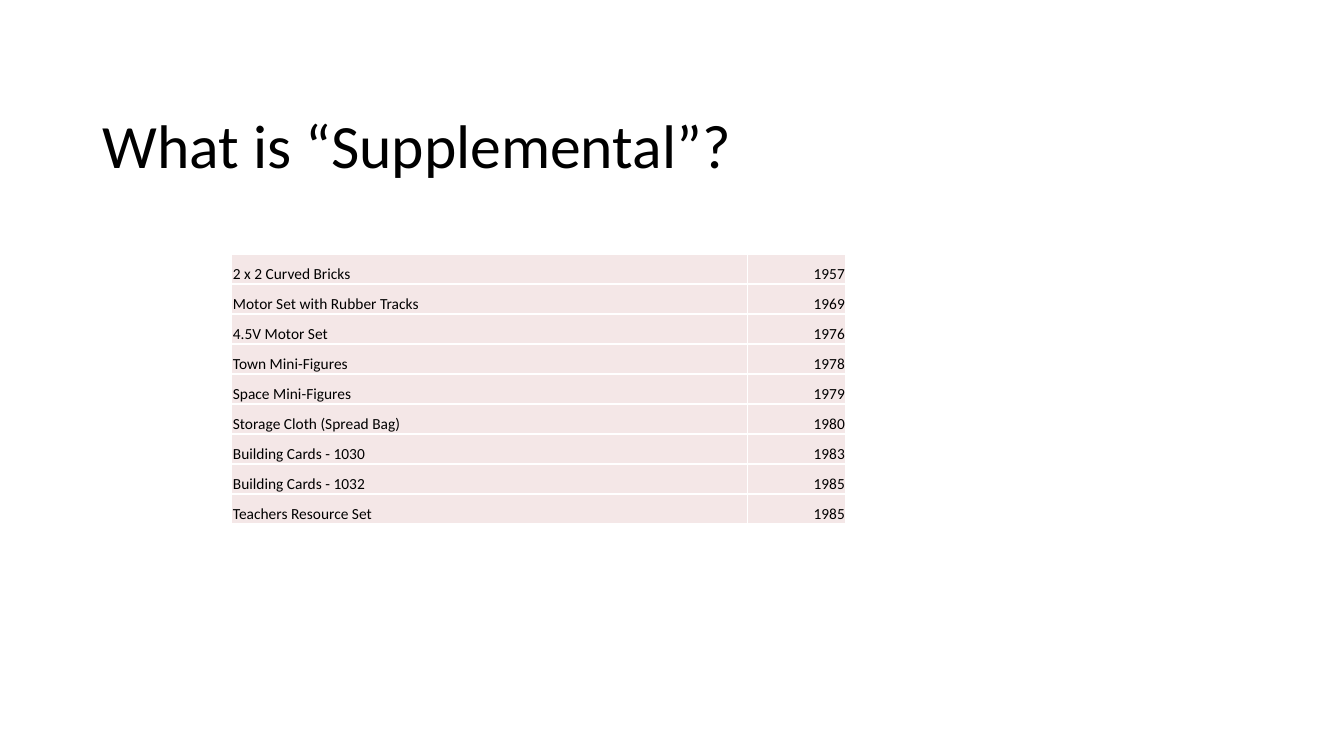
from lxml import etree
from pptx import Presentation
from pptx import util as u
from pptx.dml.color import RGBColor
from pptx.enum import text
from pptx.oxml import ns

BLACK = RGBColor(0x00, 0x00, 0x00)
WHITE = RGBColor(0xFF, 0xFF, 0xFF)
BLUSH = RGBColor(0xF4, 0xE7, 0xE7)

SUPPLEMENTS = [
    ("2 x 2 Curved Bricks", "1957"),
    ("Motor Set with Rubber Tracks", "1969"),
    ("4.5V Motor Set", "1976"),
    ("Town Mini-Figures", "1978"),
    ("Space Mini-Figures", "1979"),
    ("Storage Cloth (Spread Bag)", "1980"),
    ("Building Cards - 1030", "1983"),
    ("Building Cards - 1032", "1985"),
    ("Teachers Resource Set", "1985"),
]


class SlideBuilder:
    """Draws titles and tables on one slide in a shared style."""

    font_name = "Calibri"
    font_color = BLACK

    def __init__(self, slide):
        self.slide = slide

    def style(self, paragraph, size, align=text.PP_ALIGN.LEFT):
        paragraph.alignment = align
        paragraph.font.name = self.font_name
        paragraph.font.size = u.Pt(size)
        paragraph.font.color.rgb = self.font_color

    def title(self, wording, left, top, width, height):
        box = self.slide.shapes.add_textbox(
            u.Inches(left), u.Inches(top), u.Inches(width), u.Inches(height))
        frame = box.text_frame
        frame.word_wrap = True
        frame.vertical_anchor = text.MSO_ANCHOR.BOTTOM
        heading = frame.paragraphs[0]
        heading.text = wording
        heading.line_spacing = 0.9
        self.style(heading, 44)

    def border(self, cell, color, width):
        properties = cell._tc.get_or_add_tcPr()
        for side in ("a:lnL", "a:lnR", "a:lnT", "a:lnB"):
            line = etree.SubElement(properties, ns.qn(side), w=str(u.Pt(width)))
            fill = etree.SubElement(line, ns.qn("a:solidFill"))
            etree.SubElement(fill, ns.qn("a:srgbClr"), val=str(color))

    def cell(self, cell, wording, align):
        cell.margin_left = cell.margin_right = cell.margin_top = u.Inches(0.01)
        cell.margin_bottom = 0
        cell.vertical_anchor = text.MSO_ANCHOR.BOTTOM
        self.border(cell, WHITE, 1)
        cell.fill.solid()
        cell.fill.fore_color.rgb = BLUSH
        entry = cell.text_frame.paragraphs[0]
        entry.text = wording
        self.style(entry, 11, align)

    def table(self, rows, left, top, height, widths, aligns):
        grid = self.slide.shapes.add_table(
            len(rows), len(widths), u.Inches(left), u.Inches(top),
            u.Inches(sum(widths)), u.Inches(height)).table
        grid.first_row = grid.horz_banding = False
        for column, width in zip(grid.columns, widths):
            column.width = u.Inches(width)
        for row, wordings in zip(grid.rows, rows):
            for cell, wording, align in zip(row.cells, wordings, aligns):
                self.cell(cell, wording, align)


def main():
    deck = Presentation()
    deck.slide_width = u.Inches(13.33)
    deck.slide_height = u.Inches(7.5)
    builder = SlideBuilder(deck.slides.add_slide(deck.slide_layouts[6]))
    builder.title("What is “Supplemental”?", 0.92, 0.4, 11.5, 1.45)
    builder.table(SUPPLEMENTS, 2.3, 2.52, 2.68, (5.11, 0.98),
                  (text.PP_ALIGN.LEFT, text.PP_ALIGN.RIGHT))
    deck.save("out.pptx")


if __name__ == "__main__":
    main()
